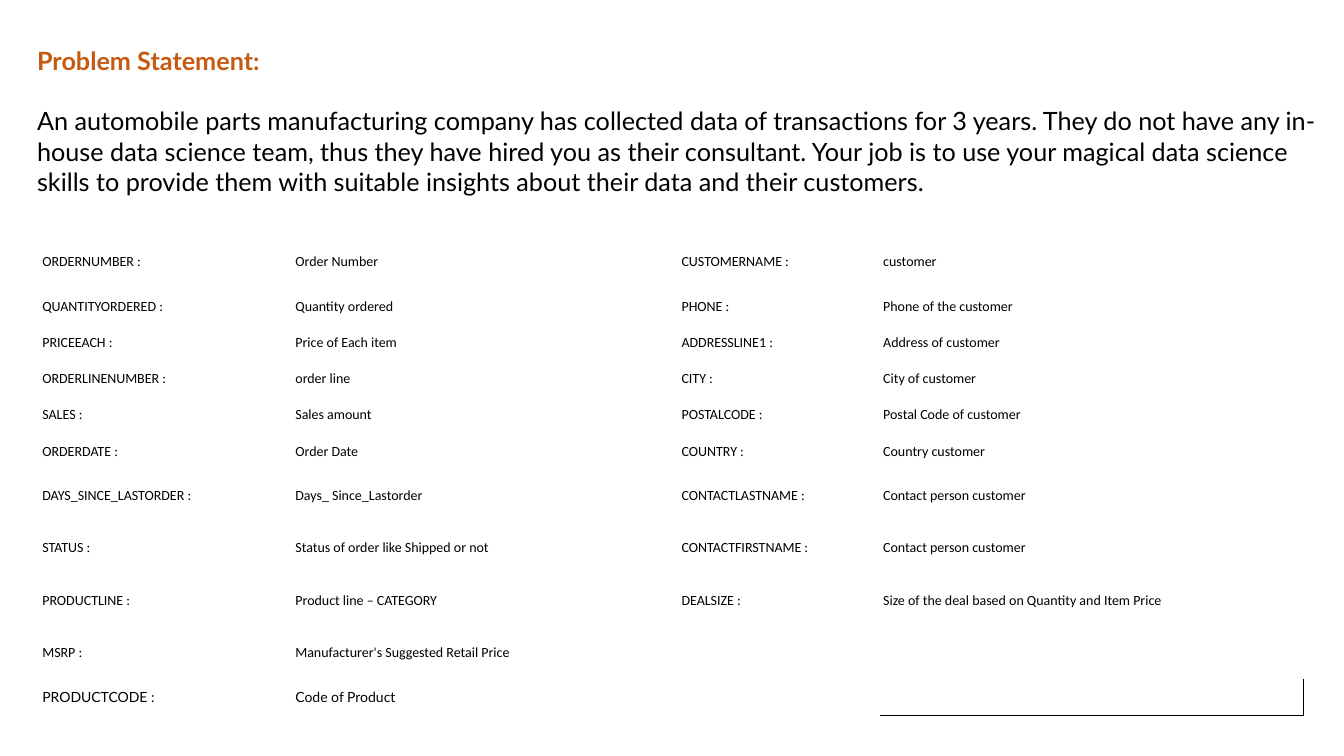
from lxml import etree
from pptx import Presentation
from pptx.dml.color import RGBColor
from pptx.enum.text import MSO_ANCHOR
from pptx.oxml.ns import qn
from pptx.util import Inches, Pt

MIDDLE = MSO_ANCHOR.MIDDLE
BLACK, WHITE, ORANGE = "000000", "FFFFFF", "C55A11"

HEADING = "Problem Statement:"
STATEMENT = (
    "An automobile parts manufacturing company has collected data of transactions "
    "for 3 years. They do not have any in-house data science team, thus they have "
    "hired you as their consultant. Your job is to use your magical data science "
    "skills to provide them with suitable insights about their data and their customers."
)

COLUMN_WIDTHS = [2.51, 3.83, 2, 4.2]
SHORT_ROW, TALL_ROW = 0.36, 0.52
TALL_ROWS = {0, 6, 7, 8, 9}
FIELDS = [
    ("ORDERNUMBER :", "Order Number", "CUSTOMERNAME :", "customer"),
    ("QUANTITYORDERED :", "Quantity ordered", "PHONE :", "Phone of the customer"),
    ("PRICEEACH :", "Price of Each item", "ADDRESSLINE1 :", "Address of customer"),
    ("ORDERLINENUMBER :", "order line", "CITY :", "City of customer"),
    ("SALES :", "Sales amount", "POSTALCODE :", "Postal Code of customer"),
    ("ORDERDATE :", "Order Date", "COUNTRY :", "Country customer"),
    ("DAYS_SINCE_LASTORDER :", "Days_ Since_Lastorder",
     "CONTACTLASTNAME :", "Contact person customer"),
    ("STATUS :", "Status of order like Shipped or not",
     "CONTACTFIRSTNAME :", "Contact person customer"),
    ("PRODUCTLINE :", "Product line – CATEGORY",
     "DEALSIZE :", "Size of the deal based on Quantity and Item Price"),
    ("MSRP :", "Manufacturer's Suggested Retail Price", "", ""),
    ("PRODUCTCODE :", "Code of Product", "", ""),
]


def rgb(color):
    return RGBColor.from_string(color)


def write(paragraph, text, size=10, font="Calibri", color=BLACK, bold=False):
    run = paragraph.add_run()
    run.text = text
    run.font.size = Pt(size)
    run.font.name = font
    run.font.bold = bold
    run.font.color.rgb = rgb(color)


def add_statement(slide):
    box = slide.shapes.add_textbox(Inches(0.27), Inches(0.4), Inches(12.9), Inches(2.83))
    frame = box.text_frame
    frame.word_wrap = True
    heading = frame.paragraphs[0]
    heading.space_after = Pt(21.6)
    write(heading, HEADING, size=18, font="Lato", color=ORANGE, bold=True)
    write(frame.add_paragraph(), STATEMENT, size=18, font="Lato")


def add_borders(cell, sides, color=BLACK, width=0.75):
    """Draw solid borders; sides are tag names in schema order, such as lnR, lnB."""
    properties = cell._tc.get_or_add_tcPr()
    for position, side in enumerate(sides):
        line = etree.Element(qn(f"a:{side}"), w=str(Pt(width)))
        fill = etree.SubElement(line, qn("a:solidFill"))
        etree.SubElement(fill, qn("a:srgbClr"), val=color)
        properties.insert(position, line)


def format_cell(cell, fill=None):
    cell.margin_left = cell.margin_right = Inches(0.03)
    cell.margin_top = cell.margin_bottom = Inches(0.02)
    cell.vertical_anchor = MIDDLE
    if fill:
        cell.fill.solid()
        cell.fill.fore_color.rgb = rgb(fill)
    else:
        cell.fill.background()


def add_field_table(slide):
    heights = [TALL_ROW if i in TALL_ROWS else SHORT_ROW for i in range(len(FIELDS))]
    table = slide.shapes.add_table(
        len(FIELDS), len(COLUMN_WIDTHS), Inches(0.39), Inches(2.34),
        Inches(sum(COLUMN_WIDTHS)), Inches(sum(heights))).table
    table.first_row = table.horz_banding = False
    for column, width in zip(table.columns, COLUMN_WIDTHS):
        column.width = Inches(width)

    last_row, last_column = len(FIELDS) - 1, len(COLUMN_WIDTHS) - 1
    for r, (height, texts) in enumerate(zip(heights, FIELDS)):
        table.rows[r].height = Inches(height)
        for c, text in enumerate(texts):
            cell = table.cell(r, c)
            format_cell(cell, WHITE if r == last_row and c < last_column else None)
            if text:
                write(cell.text_frame.paragraphs[0], text,
                      font="Lato" if r == last_row else "Calibri")
    add_borders(table.cell(last_row, last_column), ["lnR", "lnB"])


def main():
    prs = Presentation()
    prs.slide_width, prs.slide_height = Inches(13.33), Inches(7.5)
    slide = prs.slides.add_slide(prs.slide_layouts[6])
    add_statement(slide)
    add_field_table(slide)
    prs.save("out.pptx")


if __name__ == "__main__":
    main()
